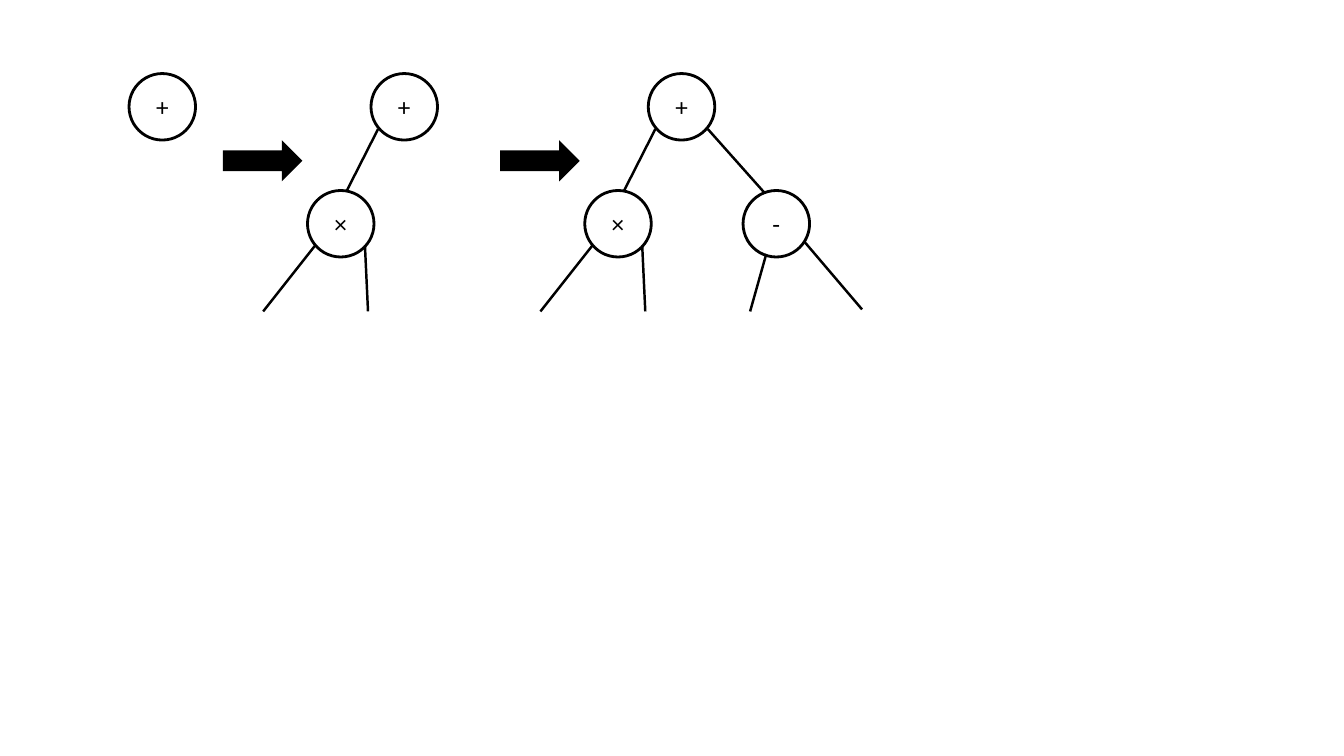
from dataclasses import dataclass

from lxml.etree import SubElement
from pptx import Presentation
from pptx.dml.color import RGBColor
from pptx.enum.shapes import MSO_CONNECTOR as Connector, MSO_SHAPE as Shape
from pptx.enum.text import MSO_ANCHOR as Anchor, PP_ALIGN as Align
from pptx.oxml.ns import qn
from pptx.util import Inches, Pt


@dataclass(frozen=True)
class Theme:
    ink: RGBColor = RGBColor(0, 0, 0)
    paper: RGBColor = RGBColor(255, 255, 255)
    font: str = "Calibri"
    symbol_size: Pt = Pt(18)
    ring: Pt = Pt(2)
    branch: Pt = Pt(1.75)


@dataclass(frozen=True)
class Child:
    symbol: str
    offset: tuple  # from the root's corner
    edge: tuple    # start and end, from the root's corner
    legs: tuple    # starts and ends, from the child's own corner


THEME = Theme()

# The page is a grid of 1333 columns by 750 rows
COLUMNS, ROWS = 1333, 750
CELL = Inches(0.01)
NODE = 66
ARROW_OFFSET, ARROW_SIZE = (-147, 66), (79, 41)

TIMES = Child("×", (-63, 116), ((7, 55), (-27, 122)),
              (((8, 54), (-44, 120)), ((57, 55), (60, 120))))
MINUS = Child("-", (94, 116), ((59, 55), (115, 118)),
              (((61, 51), (118, 118)), ((23, 63), (7, 120))))

# Each step: left of the root node and the children grown so far
ROOT_TOP = 73
STEPS = [(128, []), (368, [TIMES]), (643, [TIMES, MINUS])]


def shift(corner, offset):
    return corner[0] + offset[0], corner[1] + offset[1]


def add_filled(shapes, kind, corner, size, colour):
    shape = shapes.add_shape(kind, *(CELL * length for length in (*corner, *size)))
    shape.shadow.inherit = False
    shape.fill.solid()
    shape.fill.fore_color.rgb = colour
    return shape


def add_node(shapes, corner, symbol):
    node = add_filled(shapes, Shape.OVAL, corner, (NODE, NODE), THEME.paper)
    node.line.color.rgb = THEME.ink
    node.line.width = THEME.ring
    node.text_frame.vertical_anchor = Anchor.MIDDLE
    para = node.text_frame.paragraphs[0]
    para.alignment = Align.CENTER
    span = para.add_run()
    span.text = symbol
    span.font.name = THEME.font
    span.font.size = THEME.symbol_size
    span.font.color.rgb = THEME.ink


def add_branch(shapes, corner, ends):
    start, end = (shift(corner, point) for point in ends)
    branch = shapes.add_connector(
        Connector.STRAIGHT, *(CELL * length for length in (*start, *end)))
    branch.line.color.rgb = THEME.ink
    branch.line.width = THEME.branch
    SubElement(branch.element.spPr, qn("a:effectLst"))


def add_arrow(shapes, root):
    arrow = add_filled(shapes, Shape.RIGHT_ARROW, shift(root, ARROW_OFFSET),
                       ARROW_SIZE, THEME.ink)
    arrow.line.fill.background()


def add_tree(shapes, root, children):
    add_node(shapes, root, "+")
    for child in children:
        corner = shift(root, child.offset)
        add_branch(shapes, root, child.edge)
        add_node(shapes, corner, child.symbol)
        for leg in child.legs:
            add_branch(shapes, corner, leg)


def main():
    deck = Presentation()
    deck.slide_width, deck.slide_height = CELL * COLUMNS, CELL * ROWS
    page = deck.slides.add_slide(deck.slide_layouts[6])
    shapes = page.shapes.add_group_shape().shapes

    # Trees from left to right, an arrow leading to each new one
    for step, (left, children) in enumerate(STEPS):
        root = left, ROOT_TOP
        if step:
            add_arrow(shapes, root)
        add_tree(shapes, root, children)

    deck.save("out.pptx")


if __name__ == "__main__":
    main()
